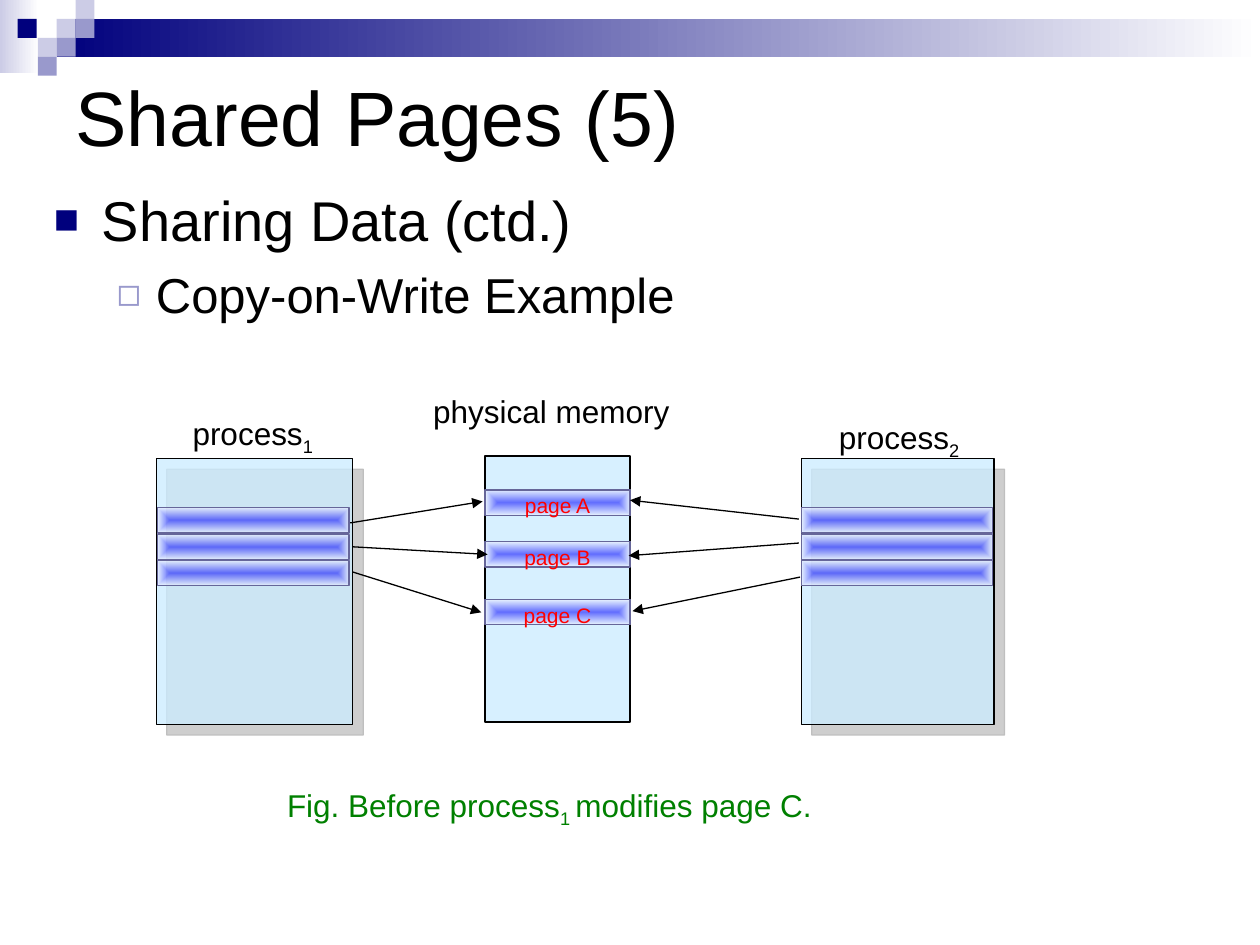
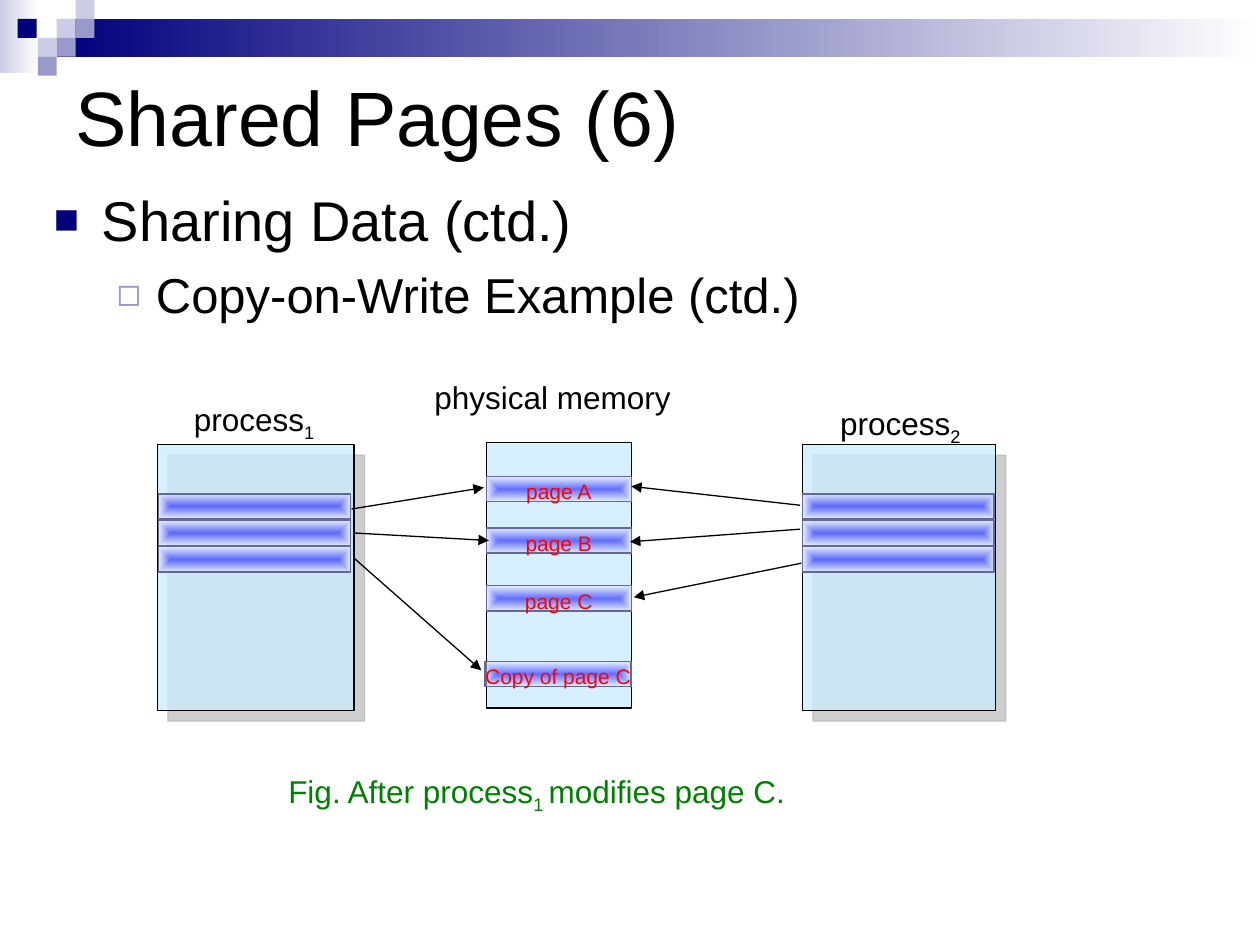
from pptx import Presentation
from pptx.dml.color import RGBColor
from pptx.enum.shapes import MSO_CONNECTOR, MSO_SHAPE
from pptx.enum.text import MSO_ANCHOR, MSO_AUTO_SIZE, PP_ALIGN
from pptx.oxml.ns import qn
from pptx.util import Inches, Pt
from lxml import etree

RECT = MSO_SHAPE.RECTANGLE
STRAIGHT = MSO_CONNECTOR.STRAIGHT
LEFT, CENTER = PP_ALIGN.LEFT, PP_ALIGN.CENTER
MIDDLE, TOP = MSO_ANCHOR.MIDDLE, MSO_ANCHOR.TOP
NO_FIT = MSO_AUTO_SIZE.NONE

COLORS = {
    "navy": "00007D", "lilac": "9999CC", "pale": "CCCCE6", "white": "FFFFFF",
    "black": "000000", "memory": "CCECFF", "page": "0000FF", "edge": "666699",
    "red": "FF0000", "green": "008000", "shadow": "808080",
}
FONT = "Arial"
TITLE_ONLY = 5
BAR_H = 0.2
PAGE_PITCH = 0.21

# Corner squares: left, top, colour
SQUARES = [
    (0.45, 0.15, "pale"), (0.6, 0, "pale"), (0.6, 0.15, "lilac"),
    (0.3, 0.3, "pale"), (0.14, 0.15, "navy"), (0.45, 0.3, "lilac"),
    (0.3, 0.45, "lilac"),
]

# Bullet levels: size, left margin, indent, space before, mark, colour, mark size
LEVELS = [
    (32, 0.38, -0.38, 0, "■", "navy", 75),
    (28, 0.81, -0.31, 7, "◻", "lilac", 80),
]

PAGES = [("page A", 3.89), ("page B", 4.3), ("page C", 4.76)]
ARROWS = [
    ((2.78, 4.15), (3.83, 3.98)), ((2.8, 4.34), (3.87, 4.4)),
    ((6.34, 4.12), (5, 3.97)), ((6.34, 4.31), (4.99, 4.41)),
    ((6.35, 4.58), (5.02, 4.85)),
]


def rgb(name):
    return RGBColor.from_string(COLORS[name])


def add_xml(parent, tag, **attrs):
    child = etree.SubElement(parent, qn(tag))
    for key, value in attrs.items():
        child.set(key, str(value))
    return child


class Deck:
    def __init__(self):
        self.prs = Presentation()
        self.prs.slide_width, self.prs.slide_height = Inches(10), Inches(7.5)
        self.s = None
        self.dx = self.dy = 0

    def new_slide(self, title):
        self.s = self.prs.slides.add_slide(self.prs.slide_layouts[TITLE_ONLY])
        self.dx = self.dy = 0
        self.band()
        sp = self.s.shapes.title
        sp.left, sp.top, sp.width, sp.height = map(Inches, (0.5, 0.5, 9, 0.83))
        tf = self.frame(sp, MIDDLE)
        tf.paragraphs[0].alignment = LEFT
        self.run(tf.paragraphs[0], title, 44)

    def band(self):
        self.gradient(self.rect(0, 0, 0.31, 0.58), "pale")
        self.gradient(self.rect(0.45, 0.15, 9.55, 0.3), "navy")
        for x, y, color in SQUARES:
            self.rect(x, y, 0.15, 0.15, color)

    # Text
    def frame(self, sp, anchor=TOP, wrap=True):
        tf = sp.text_frame
        tf.auto_size = NO_FIT
        tf.word_wrap = wrap
        tf.vertical_anchor = anchor
        return tf

    def run(self, p, text, size, color="black", sub=False):
        r = p.add_run()
        r.text = text
        r.font.name, r.font.size = FONT, Pt(size)
        r.font.color.rgb = rgb(color)
        if sub:
            r.font._element.set("baseline", "-25000")

    def label(self, x, y, w, h, runs, color="black"):
        """Odd runs are subscripts."""
        box = self.s.shapes.add_textbox(Inches(x + self.dx), Inches(y + self.dy),
                                        Inches(w), Inches(h))
        p = self.frame(box).paragraphs[0]
        p.line_spacing = 1.2
        for i, text in enumerate(runs):
            self.run(p, text, 18, color, sub=i % 2 == 1)

    def bullets(self, items):
        box = self.s.shapes.add_textbox(Inches(0.33), Inches(1.42), Inches(9), Inches(5.75))
        tf = self.frame(box)
        for level, text in enumerate(items):
            size, margin, indent, before, mark, color, scale = LEVELS[level]
            p = tf.add_paragraph() if level else tf.paragraphs[0]
            p.level = level
            p.space_before = Pt(before)
            pPr = p._p.get_or_add_pPr()
            pPr.set("marL", str(Inches(margin)))
            pPr.set("indent", str(Inches(indent)))
            add_xml(add_xml(pPr, "a:buClr"), "a:srgbClr", val=COLORS[color])
            add_xml(pPr, "a:buSzPct", val=scale * 1000)
            add_xml(pPr, "a:buFont", typeface=FONT)
            add_xml(pPr, "a:buChar", char=mark)
            self.run(p, text, size)

    # Shapes
    def rect(self, x, y, w, h, fill=None, line=None):
        sp = self.s.shapes.add_shape(RECT, Inches(x + self.dx), Inches(y + self.dy),
                                     Inches(w), Inches(h))
        sp.shadow.inherit = False
        if fill:
            sp.fill.solid()
            sp.fill.fore_color.rgb = rgb(fill)
        if line:
            sp.line.color.rgb, sp.line.width = rgb(line), Pt(0.75)
        else:
            sp.line.fill.background()
        return sp

    def gradient(self, sp, start):
        sp.fill.gradient()
        sp.fill.gradient_angle = 0
        for stop, color in zip(sp.fill.gradient_stops, (start, "white")):
            stop.color.rgb = rgb(color)
        return sp._element.spPr.find(qn("a:gradFill"))

    def memory(self, x, y, w, shadow=False):
        sp = self.rect(x, y, w, 2.11, "memory", "black")
        spPr = sp._element.spPr
        add_xml(spPr.find(".//" + qn("a:srgbClr")), "a:alpha", val=77000)
        if shadow:
            effect = add_xml(spPr.find(qn("a:effectLst")), "a:outerShdw", blurRad=0,
                             dist=Pt(8.5), dir=2700000, algn="ctr", rotWithShape=0)
            color = add_xml(effect, "a:srgbClr", val=COLORS["shadow"])
            add_xml(color, "a:alpha", val=50000)

    def page(self, x, y, w, text=None):
        sp = self.rect(x, y, w, BAR_H, line="edge")
        grad = self.gradient(sp, "page")
        for color, alpha in zip(grad.iter(qn("a:srgbClr")), (54000, 55000)):
            add_xml(color, "a:alpha", val=alpha)
        lin = grad.find(qn("a:lin"))
        center = etree.Element(qn("a:path"))
        center.set("path", "rect")
        add_xml(center, "a:fillToRect", l=50000, t=50000, r=50000, b=50000)
        grad.replace(lin, center)
        if text:
            p = self.frame(sp, MIDDLE, wrap=False).paragraphs[0]
            p.alignment, p.line_spacing = CENTER, 1.2
            self.run(p, text, 12, "red")

    def arrow(self, start, end):
        points = [Inches(v + d) for pt in (start, end) for v, d in zip(pt, (self.dx, self.dy))]
        line = self.s.shapes.add_connector(STRAIGHT, *points)
        line.line.color.rgb, line.line.width = rgb("black"), Pt(0.75)
        spPr = line._element.spPr
        add_xml(spPr.find(qn("a:ln")), "a:tailEnd", type="triangle")
        add_xml(spPr, "a:effectLst")

    # Memory diagram
    def diagram(self, page_c_target, caption, dx=0, dy=0):
        self.dx, self.dy = dx, dy
        for x, w, bar_x in ((1.24, 1.56, 1.25), (6.36, 1.53, 6.36)):
            self.memory(x, 3.64, w, shadow=True)
            for i in range(3):
                self.page(bar_x, 4.03 + i * PAGE_PITCH, 1.52)
        self.memory(3.85, 3.62, 1.15)
        for name, y in PAGES:
            self.page(3.85, y, 1.15, name)
        for start, end in ARROWS + [((2.8, 4.54), page_c_target)]:
            self.arrow(start, end)
        self.label(1.43, 3.17, 1.33, 0.51, ["process", "1"])
        self.label(6.56, 3.2, 1.33, 0.51, ["process", "2"])
        self.label(3.34, 3, 2.23, 0.46, ["physical memory"])
        self.label(2.18, 6.12, 4.76, 0.51, [caption, "1 ", "modifies page C."], "green")


def main():
    deck = Deck()

    # Before the write
    deck.new_slide("Shared Pages (5)")
    deck.bullets(["Sharing Data (ctd.)", "Copy-on-Write Example"])
    deck.diagram((3.82, 4.86), "Fig. Before process")

    # After the write
    deck.new_slide("Shared Pages (6)")
    deck.bullets(["Sharing Data (ctd.)", "Copy-on-Write Example (ctd.)"])
    deck.diagram((3.81, 5.43), "Fig. After process", dx=0.01, dy=-0.11)
    deck.page(3.84, 5.36, 1.16, "Copy of page C")

    deck.prs.save("out.pptx")


if __name__ == "__main__":
    main()
